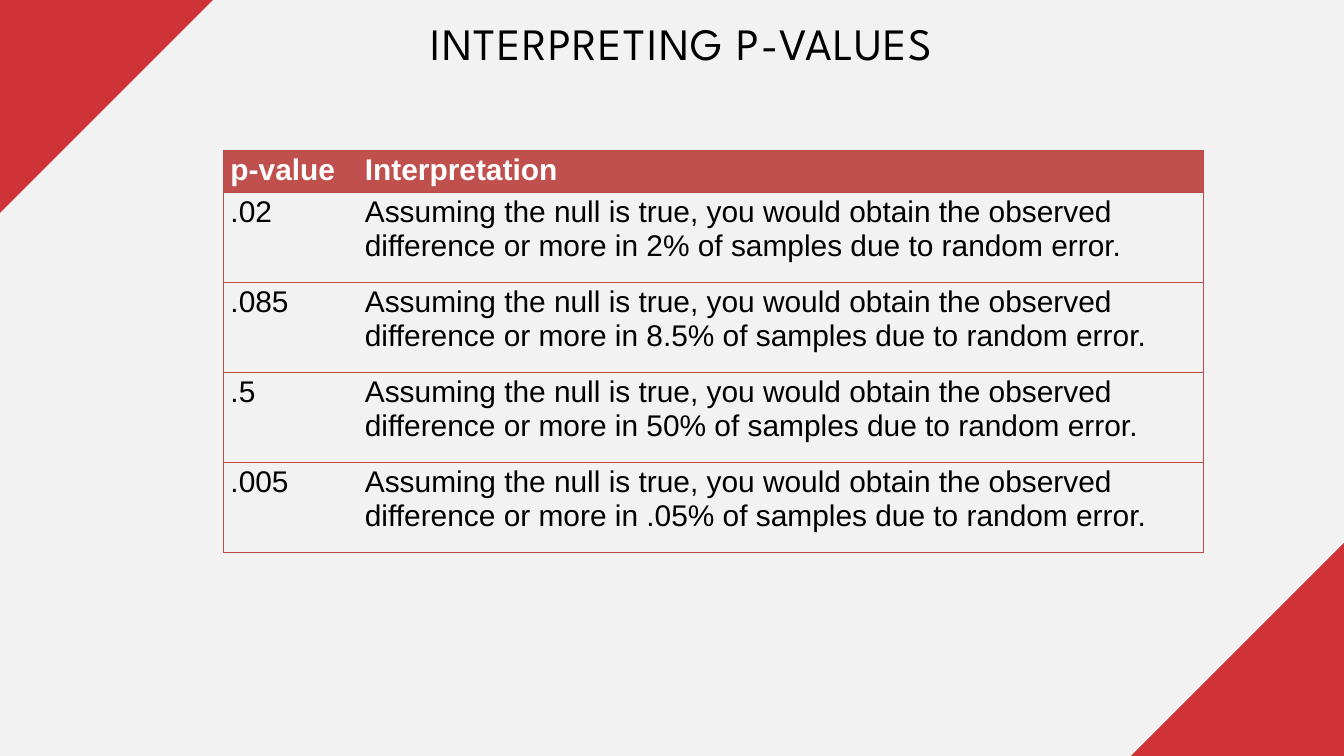
"""Build the slide that explains how to read p-values."""
from lxml import etree
from pptx import Presentation
from pptx.dml.color import RGBColor
from pptx.enum.text import PP_ALIGN
from pptx.oxml.ns import qn
from pptx.util import Inches, Pt

CENTER = PP_ALIGN.CENTER
BACKGROUND = RGBColor(0xF2, 0xF2, 0xF2)
CORNER_RED = RGBColor(0xCF, 0x33, 0x38)
HEADER_RED = RGBColor(0xC0, 0x50, 0x4D)
BORDER_RED = RGBColor(0xBF, 0x4C, 0x48)
BLACK = RGBColor(0, 0, 0)
WHITE = RGBColor(0xFF, 0xFF, 0xFF)

WIDTH, HEIGHT = 20, 11.25
CORNER = 3.17
MEANING = ("Assuming the null is true, you would obtain the observed "
           "difference or more in {} of samples due to random error.")
SHARES = [(".02", "2%"), (".085", "8.5%"), (".5", "50%"), (".005", ".05%")]


class SlideBuilder:
    title_font = "League Spartan"
    table_font = "Arial"

    def __init__(self, slide):
        self.slide = slide
        fill = slide.background.fill
        fill.solid()
        fill.fore_color.rgb = BACKGROUND

    def triangle(self, points):
        start, *rest = [(Inches(x), Inches(y)) for x, y in points]
        outline = self.slide.shapes.build_freeform(*start)
        outline.add_line_segments(rest, close=True)
        shape = outline.convert_to_shape()
        shape.shadow.inherit = False
        shape.fill.solid()
        shape.fill.fore_color.rgb = CORNER_RED
        shape.line.fill.background()

    def format_text(self, para, font_name, size, color, bold=False):
        for span in para.runs:
            span.font.name = font_name
            span.font.size = Pt(size)
            span.font.bold = bold
            span.font.color.rgb = color

    def title(self, text, left, top, width, height):
        box = self.slide.shapes.add_textbox(
            Inches(left), Inches(top), Inches(width), Inches(height))
        frame = box.text_frame
        frame.word_wrap = True
        frame.margin_left = Inches(0.29)
        frame.margin_top = frame.margin_right = frame.margin_bottom = 0
        frame.text = text
        para = frame.paragraphs[0]
        para.alignment = CENTER
        para.line_spacing = Pt(38.4)
        self.format_text(para, self.title_font, 48, BLACK)
        para.runs[0].font._element.set("spc", "160")

    def border(self, cell, side, visible):
        properties = cell._tc.get_or_add_tcPr()
        line = etree.SubElement(properties, qn(f"a:ln{side}"), w=str(Pt(0.75)))
        if visible:
            fill = etree.SubElement(line, qn("a:solidFill"))
            etree.SubElement(fill, qn("a:srgbClr"), val=str(BORDER_RED))
        else:
            etree.SubElement(line, qn("a:noFill"))

    def table(self, rows, left, top, widths, heights):
        frame = self.slide.shapes.add_table(
            len(rows), len(widths), Inches(left), Inches(top),
            Inches(sum(widths)), Inches(sum(heights)))
        table = frame.table
        table.horz_banding = False
        for column, width in zip(table.columns, widths):
            column.width = Inches(width)
        for row, height in zip(table.rows, heights):
            row.height = Inches(height)
        for row_index, row in enumerate(rows):
            for column_index, text in enumerate(row):
                cell = table.cell(row_index, column_index)
                header = row_index == 0
                cell.text = text
                self.format_text(cell.text_frame.paragraphs[0], self.table_font,
                                 32, WHITE if header else BLACK, header)
                self.border(cell, "L", column_index == 0)
                self.border(cell, "R", column_index == len(row) - 1)
                self.border(cell, "T", True)
                self.border(cell, "B", True)
                if header:
                    cell.fill.solid()
                    cell.fill.fore_color.rgb = HEADER_RED
                else:
                    cell.fill.background()


def main():
    deck = Presentation()
    deck.slide_width = Inches(WIDTH)
    deck.slide_height = Inches(HEIGHT)
    builder = SlideBuilder(deck.slides.add_slide(deck.slide_layouts[6]))
    builder.triangle([(0, CORNER), (0, 0), (CORNER, 0)])
    builder.title("INTERPRETING P-VALUES", 4.14, 0.5, 11.72, 0.6)
    builder.triangle([(WIDTH, HEIGHT - CORNER), (WIDTH, HEIGHT),
                      (WIDTH - CORNER, HEIGHT)])
    rows = [("p-value", "Interpretation")]
    rows += [(value, MEANING.format(share)) for value, share in SHARES]
    builder.table(rows, 3.33, 2.23, [2, 12.58], [0.63] + [1.34] * len(SHARES))
    deck.save("out.pptx")


if __name__ == "__main__":
    main()
